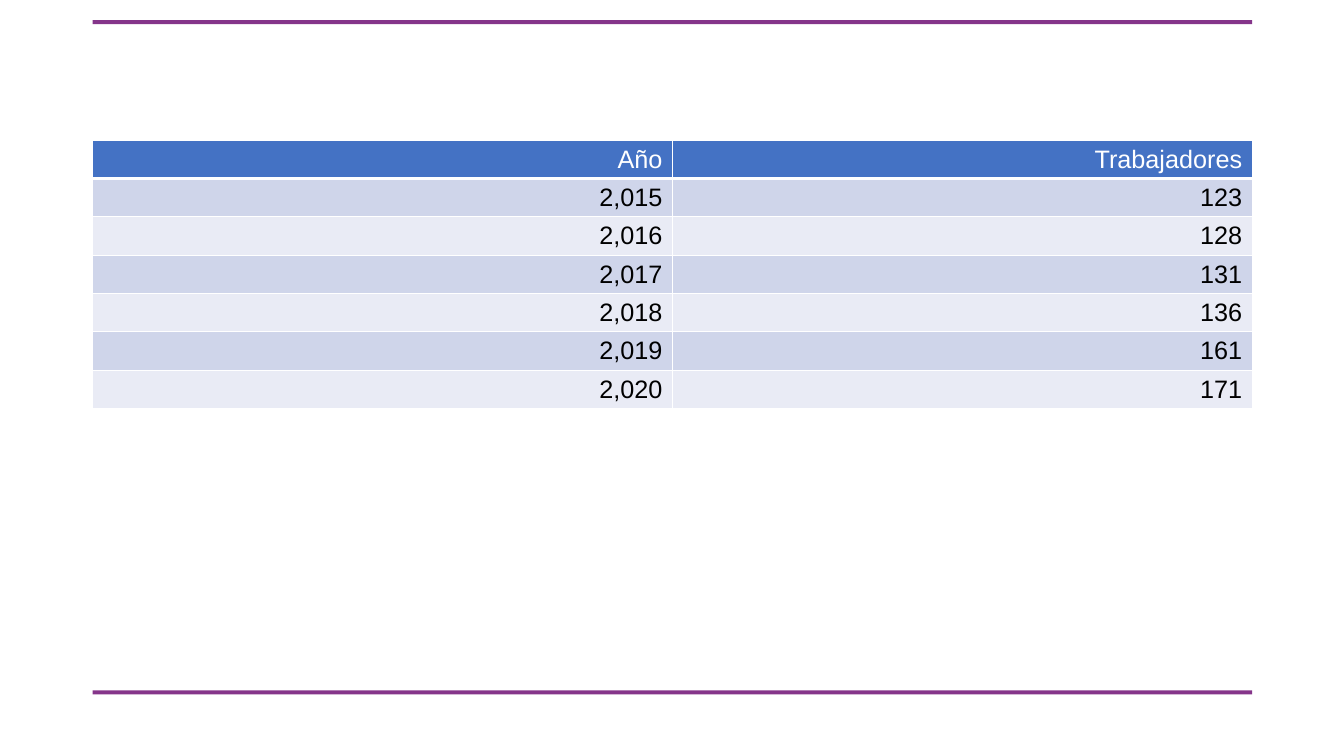
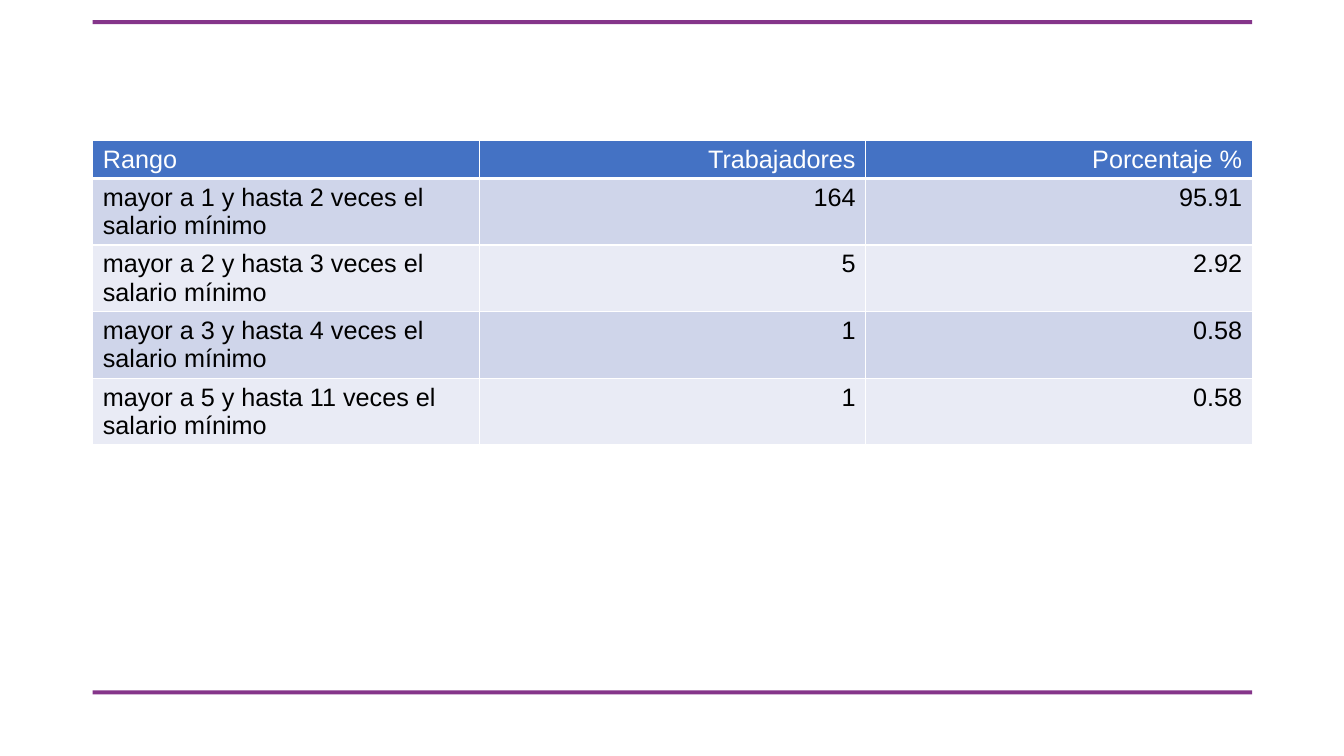
"""Build two slides of workforce tables framed by purple bands."""
import dataclasses

import pptx
import pptx.dml.color
import pptx.enum.shapes
import pptx.enum.text
import pptx.oxml
import pptx.oxml.ns
import pptx.util
from pptx.util import Inches


@dataclasses.dataclass(frozen=True)
class Theme:
    band: str = "85358A"
    header: str = "4472C4"
    stripes: tuple = ("CFD5EA", "E9EBF5")
    light: str = "FFFFFF"
    dark: str = "000000"
    font: str = "Arial"
    size: int = 18
    border: int = 1
    header_rule: int = 3


theme = Theme()
color = pptx.dml.color.RGBColor.from_string
align = pptx.enum.text.PP_ALIGN
left, width, table_top = 0.92, 11.5, 1.39
band_tops, band_height = (6.85, 0.2), 0.04

tables = [
    {
        "rows": [
            ("Año", "Trabajadores"),
            ("2,015", "123"),
            ("2,016", "128"),
            ("2,017", "131"),
            ("2,018", "136"),
            ("2,019", "161"),
            ("2,020", "171"),
        ],
        "first_align": align.RIGHT,
        "row_height": 0.38,
    },
    {
        "rows": [
            ("Rango", "Trabajadores", "Porcentaje %"),
            ("mayor a 1 y hasta 2 veces el salario mínimo", "164", "95.91"),
            ("mayor a 2 y hasta 3 veces el salario mínimo", "5", "2.92"),
            ("mayor a 3 y hasta 4 veces el salario mínimo", "1", "0.58"),
            ("mayor a 5 y hasta 11 veces el salario mínimo", "1", "0.58"),
        ],
        "first_align": align.LEFT,
        "row_height": 0.66,
    },
]
header_height = 0.38


def add_borders(cell, bottom):
    """Draw the four cell borders, the bottom one with its own weight."""
    properties = cell._tc.get_or_add_tcPr()
    weights = {"lnL": theme.border, "lnR": theme.border, "lnT": theme.border, "lnB": bottom}
    for side, weight in weights.items():
        properties.append(pptx.oxml.parse_xml(
            f'<a:{side} {pptx.oxml.ns.nsdecls("a")} w="{pptx.util.Pt(weight)}">'
            f'<a:solidFill><a:srgbClr val="{theme.light}"/></a:solidFill></a:{side}>'
        ))


deck = pptx.Presentation()
deck.slide_width, deck.slide_height = Inches(13.33), Inches(7.5)

for content in tables:
    page = deck.slides.add_slide(deck.slide_layouts[6])
    for top in band_tops:
        band = page.shapes.add_shape(
            pptx.enum.shapes.MSO_SHAPE.RECTANGLE,
            Inches(left), Inches(top), Inches(width), Inches(band_height),
        )
        band.shadow.inherit = False
        band.fill.solid()
        band.fill.fore_color.rgb = color(theme.band)
        band.line.fill.background()

    rows = content["rows"]
    height = header_height + content["row_height"] * (len(rows) - 1)
    table = page.shapes.add_table(
        len(rows), len(rows[0]), Inches(left), Inches(table_top), Inches(width), Inches(height)
    ).table
    for column in table.columns:
        column.width = Inches(width / len(rows[0]))

    for row_index, values in enumerate(rows):
        is_header = row_index == 0
        table.rows[row_index].height = Inches(header_height if is_header else content["row_height"])
        fill = theme.header if is_header else theme.stripes[(row_index - 1) % 2]
        for column_index, value in enumerate(values):
            cell = table.cell(row_index, column_index)
            add_borders(cell, theme.header_rule if is_header else theme.border)
            cell.fill.solid()
            cell.fill.fore_color.rgb = color(fill)
            para = cell.text_frame.paragraphs[0]
            para.text = value
            para.alignment = content["first_align"] if column_index == 0 else align.RIGHT
            font = para.runs[0].font
            font.name = theme.font
            font.size = pptx.util.Pt(theme.size)
            font.bold = False
            font.color.rgb = color(theme.light if is_header else theme.dark)

deck.save("out.pptx")
